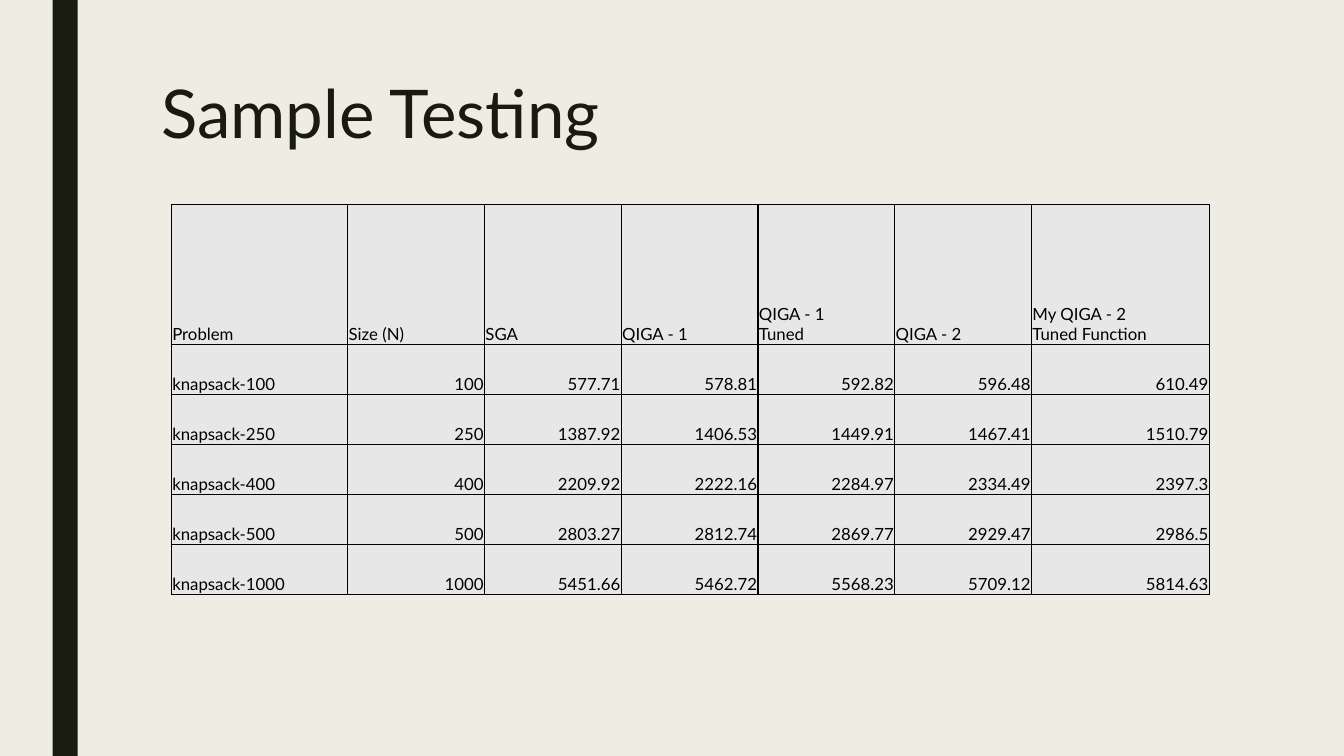
import pptx
import pptx.dml.color
import pptx.enum.shapes
import pptx.enum.text
import pptx.oxml
import pptx.oxml.ns
import pptx.util

Pt = pptx.util.Pt
ANCHOR = pptx.enum.text.MSO_ANCHOR
ALIGN = pptx.enum.text.PP_ALIGN


def color(hex_string):
    return pptx.dml.color.RGBColor.from_string(hex_string)


def add_text(paragraph, text, size, hex_string):
    run = paragraph.add_run()
    run.text = text
    run.font.name = "Lato"
    run.font.size = Pt(size)
    run.font.color.rgb = color(hex_string)


deck = pptx.Presentation()
deck.slide_width = Pt(960)
deck.slide_height = Pt(540)
slide = deck.slides.add_slide(deck.slide_layouts[5])
slide.background.fill.solid()
slide.background.fill.fore_color.rgb = color("EFEDE3")

side_bar = slide.shapes.add_shape(
    pptx.enum.shapes.MSO_SHAPE.RECTANGLE, Pt(37.5), Pt(0), Pt(18), Pt(540))
side_bar.shadow.inherit = False
side_bar.fill.solid()
side_bar.fill.fore_color.rgb = color("191B0E")
side_bar.line.fill.background()

title = slide.shapes.title
title.left, title.top, title.width, title.height = Pt(108), Pt(54), Pt(756), Pt(117)
title.text_frame.vertical_anchor = ANCHOR.TOP
heading = title.text_frame.paragraphs[0]
heading.alignment = ALIGN.LEFT
heading.line_spacing = 0.89
add_text(heading, "Sample Testing", 48, "191B0E")

results = [
    ["Problem", "Size (N)", "SGA", "QIGA - 1", "QIGA - 1\nTuned", "QIGA - 2",
     "My QIGA - 2\nTuned Function"],
    ["knapsack-100", "100", "577.71", "578.81", "592.82", "596.48", "610.49"],
    ["knapsack-250", "250", "1387.92", "1406.53", "1449.91", "1467.41", "1510.79"],
    ["knapsack-400", "400", "2209.92", "2222.16", "2284.97", "2334.49", "2397.3"],
    ["knapsack-500", "500", "2803.27", "2812.74", "2869.77", "2929.47", "2986.5"],
    ["knapsack-1000", "1000", "5451.66", "5462.72", "5568.23", "5709.12", "5814.63"],
]
column_widths = [126] + [97.7] * 5 + [127]
row_heights = [100] + [35.7] * 5

results_table = slide.shapes.add_table(
    len(row_heights), len(column_widths), Pt(122.4), Pt(146),
    Pt(sum(column_widths)), Pt(sum(row_heights))).table
for column, width in zip(results_table.columns, column_widths):
    column.width = Pt(width)
for row, height in zip(results_table.rows, row_heights):
    row.height = Pt(height)

for row_index, values in enumerate(results):
    for column_index, value in enumerate(values):
        cell = results_table.cell(row_index, column_index)
        cell.margin_left = cell.margin_right = cell.margin_top = Pt(0.7)
        cell.margin_bottom = Pt(0)
        cell.vertical_anchor = ANCHOR.BOTTOM
        cell_properties = cell._tc.get_or_add_tcPr()
        for side in ("lnL", "lnR", "lnT", "lnB"):
            cell_properties.append(pptx.oxml.parse_xml(
                f'<a:{side} {pptx.oxml.ns.nsdecls("a")} w="{Pt(1)}">'
                '<a:solidFill><a:srgbClr val="000000"/></a:solidFill>'
                f'</a:{side}>'))
        cell.fill.solid()
        cell.fill.fore_color.rgb = color("E7E7E7")
        entry = cell.text_frame.paragraphs[0]
        is_number = row_index > 0 and column_index > 0
        entry.alignment = ALIGN.RIGHT if is_number else ALIGN.LEFT
        for line_index, line in enumerate(value.split("\n")):
            if line_index:
                entry.add_line_break()
            add_text(entry, line, 12, "000000")

deck.save("out.pptx")
